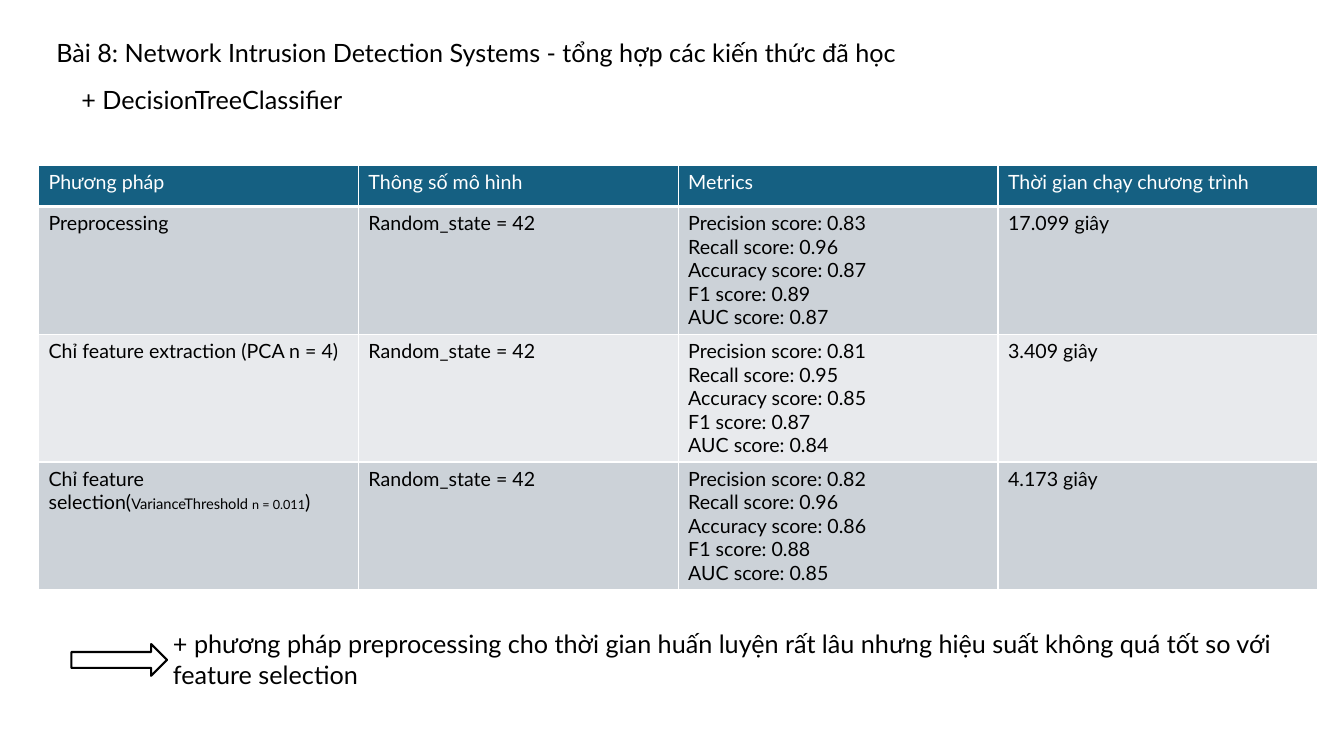
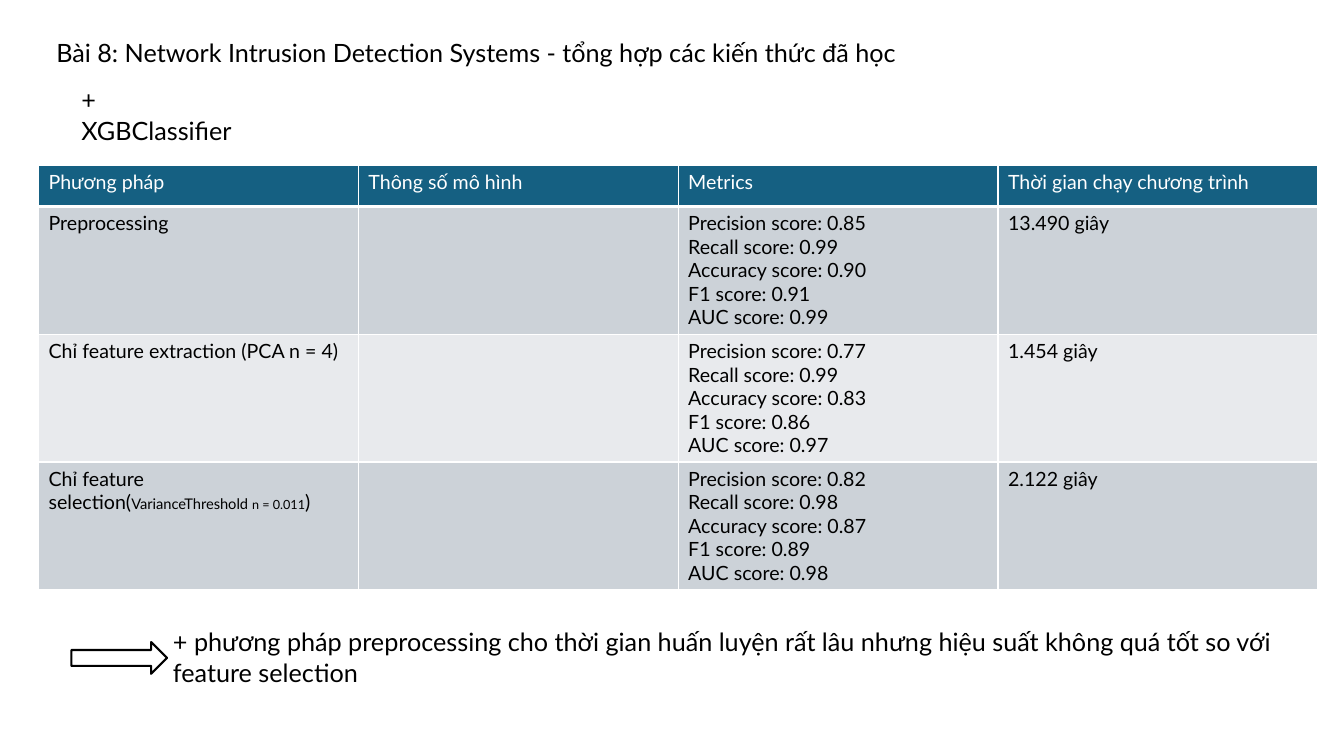
from lxml import etree
from pptx import Presentation
from pptx import util as u
from pptx.dml.color import RGBColor
from pptx.enum import shapes, text
from pptx.oxml.ns import qn

COLORS = {
    "ink": "000000",
    "paper": "FFFFFF",
    "header": "156082",
    "band_dark": "CCD2D8",
    "band_light": "E8EAED",
}
FONT = "Lato"
TITLE = "Bài 8: Network Intrusion Detection Systems - tổng hợp các kiến thức đã học"
CONCLUSION = ("+ phương pháp preprocessing cho thời gian huấn luyện rất lâu "
              "nhưng hiệu suất không quá tốt so với feature selection")
HEADINGS = ["Phương pháp", "Thông số mô hình", "Metrics", "Thời gian chạy chương trình"]
METRICS = ["Precision", "Recall", "Accuracy", "F1", "AUC"]
# Each method is a list of (text, size) runs
METHODS = [
    [("Preprocessing", 14)],
    [("Chỉ feature extraction (PCA n = 4)", 14)],
    [("Chỉ feature selection(", 14), ("VarianceThreshold ", 10.5), ("n = 0.011", 9), (")", 14)],
]
MODELS = [
    {
        "label": "+ DecisionTreeClassifier",
        "label_width": 7.16,
        "setting": "Random_state = 42",
        "scores": [
            ["0.83", "0.96", "0.87", "0.89", "0.87"],
            ["0.81", "0.95", "0.85", "0.87", "0.84"],
            ["0.82", "0.96", "0.86", "0.88", "0.85"],
        ],
        "seconds": ["17.099", "3.409", "4.173"],
        "conclusion_top": 15.72,
    },
    {
        "label": "+ XGBClassifier",
        "label_width": 4.7,
        "setting": "",
        "scores": [
            ["0.85", "0.99", "0.90", "0.91", "0.99"],
            ["0.77", "0.99", "0.83", "0.86", "0.97"],
            ["0.82", "0.98", "0.87", "0.89", "0.98"],
        ],
        "seconds": ["13.490", "1.454", "2.122"],
        "conclusion_top": 15.67,
    },
]


def rgb(name):
    return RGBColor.from_string(COLORS[name])


def style_run(run, size, color="ink"):
    run.font.name = FONT
    run.font.size = u.Pt(size)
    run.font.color.rgb = rgb(color)


def add_line_of_text(slide, words, left, top, width, height):
    box = slide.shapes.add_textbox(u.Cm(left), u.Cm(top), u.Cm(width), u.Cm(height))
    frame = box.text_frame
    frame.word_wrap = True
    frame.auto_size = text.MSO_AUTO_SIZE.SHAPE_TO_FIT_TEXT
    frame.text = words
    style_run(frame.paragraphs[0].runs[0], 18)


def add_borders(cell, bottom=1):
    properties = cell._tc.get_or_add_tcPr()
    for side, points in (("L", 1), ("R", 1), ("T", 1), ("B", bottom)):
        line = etree.SubElement(properties, qn(f"a:ln{side}"), w=str(u.Pt(points)))
        fill = etree.SubElement(line, qn("a:solidFill"))
        etree.SubElement(fill, qn("a:srgbClr"), val=COLORS["paper"])


def fill_cell(cell, paragraphs, fill, color="ink", bottom=1):
    """Write paragraphs, each a list of (text, size) runs, into a cell."""
    add_borders(cell, bottom)
    cell.fill.solid()
    cell.fill.fore_color.rgb = rgb(fill)
    frame = cell.text_frame
    for number, runs in enumerate(paragraphs):
        paragraph = frame.add_paragraph() if number else frame.paragraphs[0]
        for words, size in runs:
            run = paragraph.add_run()
            run.text = words
            style_run(run, size, color)


def add_results(slide, model, left, top, width, header_height, row_height):
    height = header_height + row_height * len(METHODS)
    results = slide.shapes.add_table(
        len(METHODS) + 1, len(HEADINGS),
        u.Cm(left), u.Cm(top), u.Cm(width), u.Cm(height)).table
    results.first_row = False
    results.horz_banding = False
    for column in results.columns:
        column.width = u.Cm(width / len(HEADINGS))

    # Header row
    results.rows[0].height = u.Cm(header_height)
    for column, heading in enumerate(HEADINGS):
        fill_cell(results.cell(0, column), [[(heading, 14)]], "header", "paper", bottom=3)

    # One row per method
    rows = zip(METHODS, model["scores"], model["seconds"])
    for row, (method, scores, seconds) in enumerate(rows, start=1):
        results.rows[row].height = u.Cm(row_height)
        band = "band_dark" if row % 2 else "band_light"
        setting = [[(model["setting"], 14)]] if model["setting"] else []
        metrics = [[(f"{name} score: {score}", 14)] for name, score in zip(METRICS, scores)]
        contents = [[method], setting, metrics, [[(f"{seconds} giây", 14)]]]
        for column, paragraphs in enumerate(contents):
            fill_cell(results.cell(row, column), paragraphs, band)


def add_conclusion(slide, left, top, width, height):
    arrow_width, arrow_height, text_offset = 2.41, 0.8, 2.31
    add_line_of_text(slide, CONCLUSION, left + text_offset, top, width - text_offset, height)
    arrow = slide.shapes.add_shape(
        shapes.MSO_SHAPE.RIGHT_ARROW, u.Cm(left), u.Cm(top + (height - arrow_height) / 2 + 0.01),
        u.Cm(arrow_width), u.Cm(arrow_height))
    arrow.shadow.inherit = False
    arrow.fill.solid()
    arrow.fill.fore_color.rgb = rgb("paper")
    arrow.line.color.rgb = rgb("ink")
    arrow.line.width = u.Pt(1.5)


def add_model_slide(deck, model):
    slide = deck.slides.add_slide(deck.slide_layouts[6])
    add_line_of_text(slide, TITLE, 1.17, 0.81, 27.18, 1.03)
    add_line_of_text(slide, model["label"], 1.8, 2.01, model["label_width"], 1.8)
    add_results(slide, model, left=0.97, top=4.17, width=32.24,
                header_height=1.03, row_height=3.22)
    add_conclusion(slide, 1.8, model["conclusion_top"], 30.68, 1.8)


def main():
    deck = Presentation()
    deck.slide_width, deck.slide_height = u.Cm(33.87), u.Cm(19.05)
    for model in MODELS:
        add_model_slide(deck, model)
    deck.save("out.pptx")


if __name__ == "__main__":
    main()
